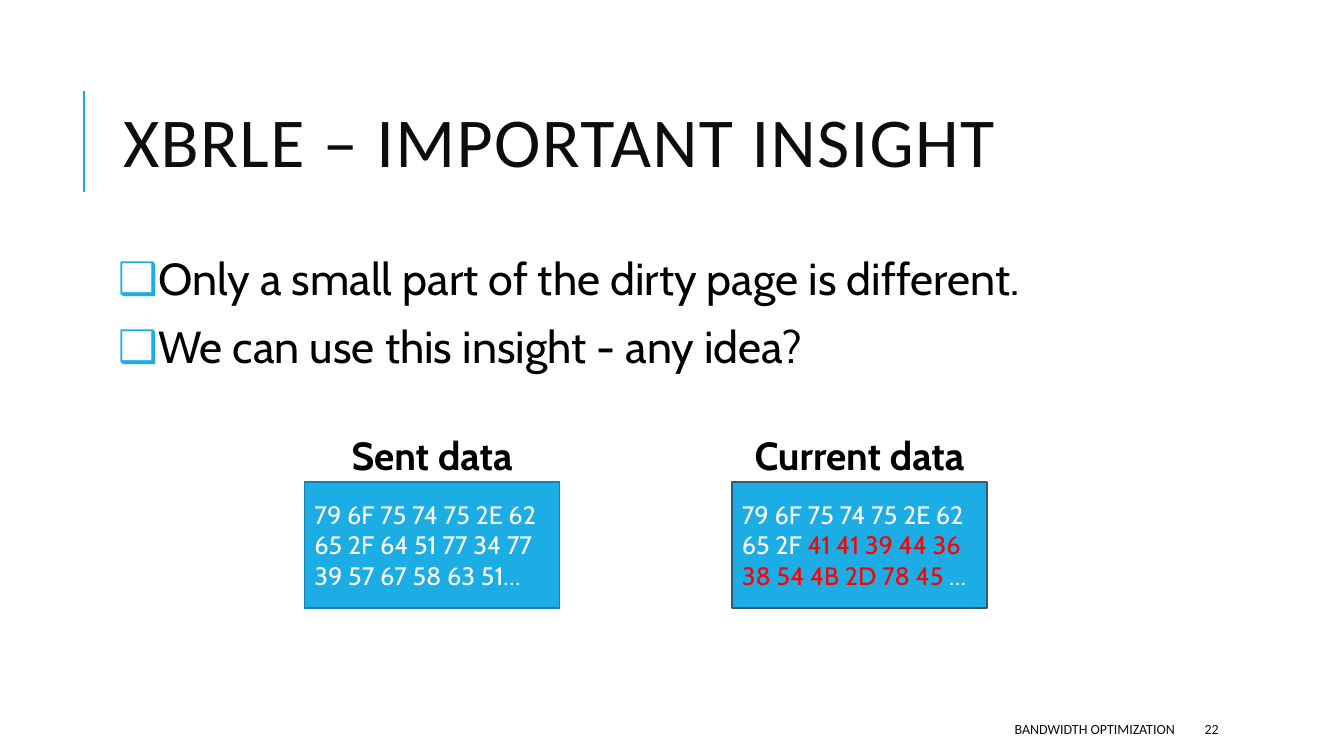
from dataclasses import dataclass

from lxml import etree
from pptx import Presentation
from pptx.dml.color import RGBColor
from pptx.enum.shapes import MSO_CONNECTOR, MSO_SHAPE
from pptx.enum.text import MSO_ANCHOR, MSO_AUTO_SIZE, PP_ALIGN
from pptx.oxml.ns import qn
from pptx.util import Inches, Pt

LEFT, CENTER, RIGHT = PP_ALIGN.LEFT, PP_ALIGN.CENTER, PP_ALIGN.RIGHT
TOP, MIDDLE = MSO_ANCHOR.TOP, MSO_ANCHOR.MIDDLE
NO_AUTOFIT = MSO_AUTO_SIZE.NONE
STRAIGHT = MSO_CONNECTOR.STRAIGHT
RECTANGLE = MSO_SHAPE.RECTANGLE
TITLE_AND_CONTENT = 1


@dataclass(frozen=True)
class Theme:
    heading_font: str = "Calibri"
    body_font: str = "Cabin"
    ink: str = "0D0D0D"
    black: str = "000000"
    white: str = "FFFFFF"
    accent: str = "1CADE4"
    sent_edge: str = "1580A9"
    current_edge: str = "335B74"
    changed: str = "FF0000"
    title_size: int = 50
    list_size: int = 32
    label_size: int = 28
    data_size: int = 18
    footer_size: int = 10


class SlideBuilder:
    def __init__(self, slide, theme):
        self.slide = slide
        self.theme = theme

    def place(self, shape, box):
        shape.left, shape.top, shape.width, shape.height = map(Inches, box)

    def frame(self, shape, anchor):
        frame = shape.text_frame
        frame.word_wrap = True
        frame.auto_size = NO_AUTOFIT
        frame.vertical_anchor = anchor
        return frame

    def run(self, paragraph, text, font, size, color, bold=False):
        run = paragraph.add_run()
        run.text = text
        run.font.name = font
        run.font.size = Pt(size)
        run.font.bold = bold
        run.font.color.rgb = RGBColor.from_string(color)
        return run

    def title(self, text, box):
        title = self.slide.shapes.title
        self.place(title, box)
        paragraph = self.frame(title, MIDDLE).paragraphs[0]
        paragraph.alignment = LEFT
        paragraph.line_spacing = 0.8
        heading = self.run(paragraph, text, self.theme.heading_font,
                           self.theme.title_size, self.theme.ink)
        heading.font._element.set("spc", "100")

    def bullet(self, paragraph):
        properties = paragraph._p.get_or_add_pPr()
        properties.set("marL", str(Inches(0.1)))
        properties.set("indent", str(Inches(-0.1)))
        color = etree.SubElement(properties, qn("a:buClr"))
        etree.SubElement(color, qn("a:srgbClr"), val=self.theme.accent)
        etree.SubElement(properties, qn("a:buChar"), char="❑")

    def bullets(self, points, box):
        body = self.slide.placeholders[1]
        self.place(body, box)
        frame = self.frame(body, TOP)
        frame.margin_left = frame.margin_right = Inches(0.05)
        frame.margin_top = frame.margin_bottom = Inches(0.05)
        for index, point in enumerate(points):
            paragraph = frame.add_paragraph() if index else frame.paragraphs[0]
            self.bullet(paragraph)
            paragraph.alignment = LEFT
            paragraph.line_spacing = 0.9
            paragraph.space_before = Pt(12 if index else 0)
            paragraph.space_after = Pt(2)
            self.run(paragraph, point, self.theme.body_font,
                     self.theme.list_size, self.theme.black)

    def text(self, text, box, font, size, color, align=LEFT, anchor=TOP, bold=False):
        label = self.slide.shapes.add_textbox(*map(Inches, box))
        paragraph = self.frame(label, anchor).paragraphs[0]
        paragraph.alignment = align
        self.run(paragraph, text, font, size, color, bold)

    def data_block(self, pieces, box, edge):
        block = self.slide.shapes.add_shape(RECTANGLE, *map(Inches, box))
        block.shadow.inherit = False
        block.fill.solid()
        block.fill.fore_color.rgb = RGBColor.from_string(self.theme.accent)
        block.line.color.rgb = RGBColor.from_string(edge)
        block.line.width = Pt(1.25)
        paragraph = self.frame(block, MIDDLE).paragraphs[0]
        paragraph.alignment = LEFT
        for text, color in pieces:
            self.run(paragraph, text, self.theme.body_font, self.theme.data_size, color)

    def rule(self, x, top, bottom):
        rule = self.slide.shapes.add_connector(
            STRAIGHT, Inches(x), Inches(top), Inches(x), Inches(bottom))
        rule.line.color.rgb = RGBColor.from_string(self.theme.accent)
        rule.line.width = Pt(1.5)
        etree.SubElement(rule._element.spPr, qn("a:effectLst"))


def main():
    theme = Theme()
    deck = Presentation()
    deck.slide_width, deck.slide_height = Inches(13.33), Inches(7.5)
    slide = deck.slides.add_slide(deck.slide_layouts[TITLE_AND_CONTENT])
    builder = SlideBuilder(slide, theme)

    # Heading and key points
    builder.rule(0.83, 0.9, 1.9)
    builder.title("XBRLE – IMPORTANT INSIGHT", (1.12, 0.64, 10.63, 1.64))
    builder.bullets(["Only a small part of the dirty page is different.",
                     "We can use this insight - any idea?"],
                    (1.12, 2.5, 10.63, 4.4))

    # Sent and current page contents, changed bytes in red
    sent = [("79 6F 75 74 75 2E 62 65 2F 64 51 77 34 77 39 57 67 58 63 51…", theme.white)]
    current = [("79 6F 75 74 75 2E 62 65 2F ", theme.white),
               ("41 41 39 44 36 38 54 4B 2D 78 45 ", theme.changed),
               ("…", theme.white)]
    pages = [("Sent data", sent, 3.02, theme.sent_edge),
             ("Current data", current, 7.26, theme.current_edge)]
    for label, pieces, left, edge in pages:
        builder.data_block(pieces, (left, 4.78, 2.53, 1.25), edge)
        builder.text(label, (left, 4.23, 2.53, 0.57), theme.body_font,
                     theme.label_size, theme.black, CENTER, bold=True)

    # Footer
    footer = [("BANDWIDTH OPTIMIZATION", 5.3, 6.45, RIGHT), ("22", 11.85, 1.06, LEFT)]
    for text, left, width, align in footer:
        builder.text(text, (left, 7.08, width, 0.3), theme.heading_font,
                     theme.footer_size, theme.ink, align, MIDDLE)

    deck.save("out.pptx")


if __name__ == "__main__":
    main()
